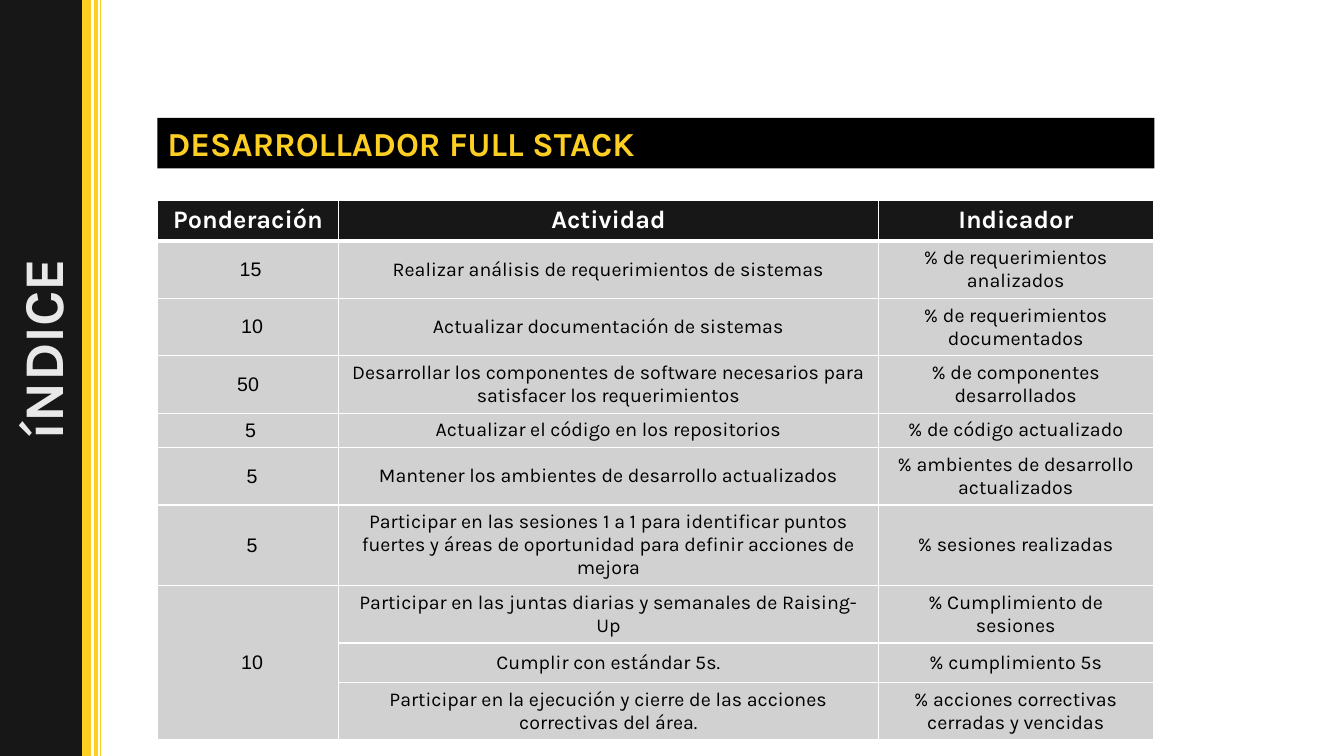
from lxml.etree import SubElement
from pptx import Presentation
from pptx.dml.color import RGBColor
from pptx.enum.shapes import MSO_CONNECTOR as Connector, MSO_SHAPE as Shape
from pptx.enum.text import MSO_ANCHOR as Anchor, MSO_AUTO_SIZE as AutoSize, PP_ALIGN as Align
from pptx.oxml.ns import qn
from pptx.util import Inches, Pt

# Content
SIDE_LABEL = "íNDICE"
TITLE = "DESARROLLADOR FULL STACK"
HEADERS = ("Ponderación", "Actividad", "Indicador")
# weight, activity, indicator, row height, indent of the weight, space before the weight
ACTIVITIES = [
    ("15", "Realizar análisis de requerimientos de sistemas",
     "% de requerimientos analizados", 0.57, 0.05, 0.4),
    ("10", "Actualizar documentación de sistemas",
     "% de requerimientos documentados", 0.57, 0.08, 5.4),
    ("50", "Desarrollar los componentes de software necesarios para satisfacer los requerimientos",
     "% de componentes desarrollados", 0.57, 0, 0.2),
    ("5", "Actualizar el código en los repositorios",
     "% de código actualizado", 0.34, 0.05, 0.2),
    ("5", "Mantener los ambientes de desarrollo actualizados",
     "% ambientes de desarrollo actualizados", 0.57, 0.08, 0.1),
    ("5", "Participar en las sesiones 1 a 1 para identificar puntos fuertes y áreas de "
          "oportunidad para definir acciones de mejora",
     "% sesiones realizadas", 0.8, 0.08, 0.1),
    ("10", "Participar en las juntas diarias y semanales de Raising-Up",
     "% Cumplimiento de sesiones", 0.57, 0.08, 0.1),
    ("", "Cumplir con estándar 5s.", "% cumplimiento 5s", 0.39, 0, 0),
    ("", "Participar en la ejecución y cierre de las acciones correctivas del área.",
     "% acciones correctivas cerradas y vencidas", 0.57, 0, 0),
]
SHARED_WEIGHT_ROWS = (7, 9)

# Format
COLORS = {"dark": "171717", "yellow": "FDCF22", "label": "E8E8E8", "black": "000000",
          "cell": "D1D1D1", "white": "FFFFFF"}
FONTS = {
    "label": {"name": "Karla", "size": Pt(40), "bold": True},
    "title": {"name": "Karla", "size": Pt(24), "bold": True},
    "header": {"name": "Karla", "size": Pt(18), "bold": True},
    "weight": {"name": "Arial", "size": Pt(14), "bold": False},
    "body": {"name": "Karla", "size": Pt(14), "bold": False},
}
SLIDE_W, SLIDE_H = 13.33, 7.5
LEFT, CONTENT_W = 1.56, 9.89
HEADER_H = 0.39
COLUMNS = (1.8, 5.35, 2.73)
STRIPES = ((0.86, 6), (0.95, 3), (1, 0.5))  # x, width in points


def color(key):
    return RGBColor.from_string(COLORS[key])


def paint(target, key):
    target.fill.solid()
    target.fill.fore_color.rgb = color(key)


def write(frame, text, font, ink, align=Align.CENTER):
    paragraph = frame.paragraphs[0]
    paragraph.alignment = align
    run = paragraph.add_run()
    run.text = text
    for attribute, value in FONTS[font].items():
        setattr(run.font, attribute, value)
    run.font.color.rgb = color(ink)
    return paragraph


def add_borders(cell, top, bottom):
    properties = cell._tc.get_or_add_tcPr()
    for side, width in (("L", 1), ("R", 1), ("T", top), ("B", bottom)):
        border = SubElement(properties, qn(f"a:ln{side}"), w=str(Pt(width)))
        fill = SubElement(border, qn("a:solidFill"))
        SubElement(fill, qn("a:srgbClr"), val=COLORS["white"])


def add_sidebar(slide):
    band = slide.shapes.add_shape(Shape.RECTANGLE, 0, 0, Inches(0.89), Inches(SLIDE_H))
    band.shadow.inherit = False
    paint(band, "dark")
    band.line.color.rgb = color("dark")
    band.line.width = Pt(1.5)
    for x, width in STRIPES:
        stripe = slide.shapes.add_connector(
            Connector.STRAIGHT, Inches(x), 0, Inches(x), Inches(SLIDE_H))
        stripe.line.color.rgb = color("yellow")
        stripe.line.width = Pt(width)
        SubElement(stripe._element.spPr, qn("a:effectLst"))
    label = slide.shapes.add_textbox(Inches(-1.39), Inches(3.08), Inches(3.6), Inches(0.77))
    label.rotation = 270
    label.text_frame.word_wrap = True
    write(label.text_frame, SIDE_LABEL, "label", "label")


def add_title(slide):
    title = slide.shapes.title
    place = {"left": LEFT, "top": 1.17, "width": CONTENT_W, "height": 0.5}
    for attribute, value in place.items():
        setattr(title, attribute, Inches(value))
    paint(title, "black")
    frame = title.text_frame
    frame.auto_size = AutoSize.NONE
    frame.vertical_anchor = Anchor.MIDDLE
    write(frame, TITLE, "title", "yellow", Align.LEFT)


def add_activities(slide):
    heights = [HEADER_H] + [activity[3] for activity in ACTIVITIES]
    table = slide.shapes.add_table(
        len(heights), len(COLUMNS), Inches(LEFT), Inches(1.99),
        Inches(CONTENT_W), Inches(sum(heights))).table
    for column, width in zip(table.columns, COLUMNS):
        column.width = Inches(width)
    for row, height in zip(table.rows, heights):
        row.height = Inches(height)

    # Header row
    for c, text in enumerate(HEADERS):
        cell = table.cell(0, c)
        add_borders(cell, 1, 3)
        paint(cell, "dark")
        write(cell.text_frame, text, "header", "white")

    # Activity rows
    for r, (*texts, _, indent, space) in enumerate(ACTIVITIES, 1):
        for c, text in enumerate(texts):
            cell = table.cell(r, c)
            add_borders(cell, 3 if r == 1 else 1, 1)
            paint(cell, "cell")
            cell.vertical_anchor = Anchor.MIDDLE
            if c == 0:
                for side in ("left", "right", "top", "bottom"):
                    setattr(cell, f"margin_{side}", 0)
            if text:
                paragraph = write(cell.text_frame, text, "body" if c else "weight", "black")
                if c == 0:
                    paragraph.space_before = Pt(space)
                    paragraph._p.get_or_add_pPr().set("marL", str(Inches(indent)))
    first, last = SHARED_WEIGHT_ROWS
    table.cell(first, 0).merge(table.cell(last, 0))


def main():
    deck = Presentation()
    deck.slide_width, deck.slide_height = Inches(SLIDE_W), Inches(SLIDE_H)
    slide = deck.slides.add_slide(deck.slide_layouts[5])
    add_sidebar(slide)
    add_title(slide)
    add_activities(slide)
    deck.save("out.pptx")


if __name__ == "__main__":
    main()
